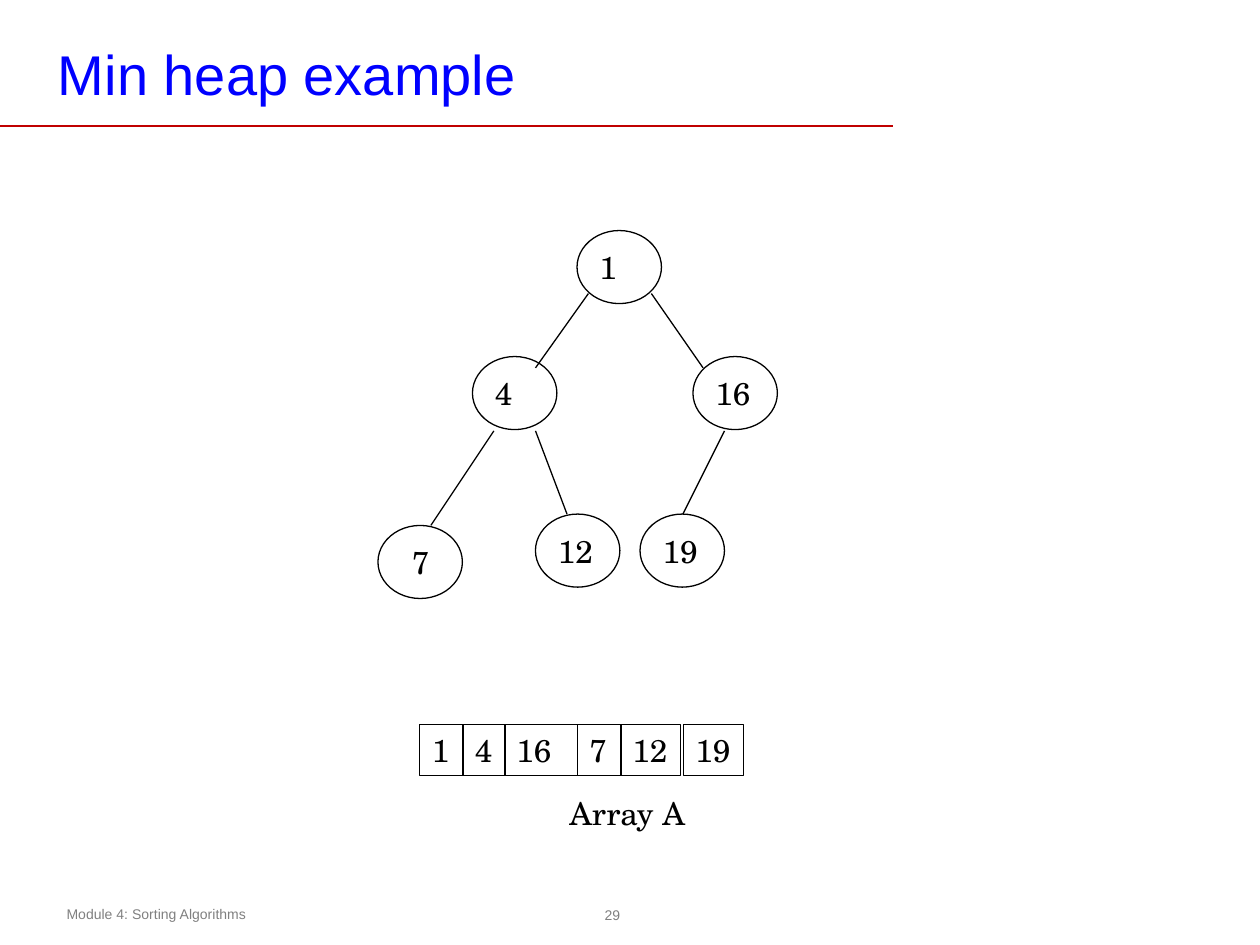
from typing import NamedTuple

from lxml import etree
from pptx import Presentation
from pptx.dml.color import RGBColor
from pptx.enum.shapes import MSO_CONNECTOR, MSO_SHAPE
from pptx.enum.text import MSO_ANCHOR, MSO_AUTO_SIZE, PP_ALIGN
from pptx.oxml.ns import qn
from pptx.util import Inches, Pt

ELLIPSE, RECT = MSO_SHAPE.OVAL, MSO_SHAPE.RECTANGLE
STRAIGHT = MSO_CONNECTOR.STRAIGHT
TOP, MIDDLE = MSO_ANCHOR.TOP, MSO_ANCHOR.MIDDLE
LEFT, CENTER = PP_ALIGN.LEFT, PP_ALIGN.CENTER
GROW, FIXED = MSO_AUTO_SIZE.SHAPE_TO_FIT_TEXT, MSO_AUTO_SIZE.NONE

SANS, SERIF = "Arial", "TeX Gyre Schola"
BLACK, GRAY, BLUE, RED = "000000", "808080", "0000FF", "C00000"
NODE_W, NODE_H, TEXT_H = 0.67, 0.58, 0.4
ARRAY_TOP = 5.75


class Node(NamedTuple):
    key: str
    x: float
    y: float
    label_dx: float = 0.08


class Edge(NamedTuple):
    x1: float
    y1: float
    x2: float
    y2: float


class Cell(NamedTuple):
    key: str
    x: float
    w: float
    wrap: bool = False


NODES = [
    Node("1", 4.58, 1.83),
    Node("4", 3.75, 2.83),
    Node("16", 5.5, 2.83),
    Node("12", 4.25, 4.08),
    Node("7", 3, 4.17, 0.17),
    Node("19", 5.08, 4.08),
]
EDGES = [
    Edge(4.67, 2.33, 4.25, 2.92),
    Edge(3.92, 3.42, 3.42, 4.17),
    Edge(4.25, 3.42, 4.5, 4.08),
    Edge(5.17, 2.33, 5.58, 2.92),
    Edge(5.75, 3.42, 5.42, 4.08),
]
CELLS = [
    Cell("1", 3.33, 0.35),
    Cell("4", 3.67, 0.34),
    Cell("16", 4, 0.58, True),
    Cell("7", 4.58, 0.35),
    Cell("12", 4.92, 0.48),
    Cell("19", 5.42, 0.48),
]


def rgb(color: str) -> RGBColor:
    return RGBColor.from_string(color)


def write(sp, text: str, size: float = 18, font: str = SERIF, color: str = BLACK,
          align=LEFT, anchor=TOP, wrap: bool = False, fit=GROW) -> None:
    tf = sp.text_frame
    tf.text = text
    tf.word_wrap = wrap
    tf.auto_size = fit
    tf.vertical_anchor = anchor
    p = tf.paragraphs[0]
    p.alignment = align
    r = p.runs[0]
    r.font.size = Pt(size)
    r.font.name = font
    r.font.color.rgb = rgb(color)


def set_insets(sp, x: float, y: float) -> None:
    tf = sp.text_frame
    tf.margin_left = tf.margin_right = Inches(x)
    tf.margin_top = tf.margin_bottom = Inches(y)


def add_outline(s, kind, x: float, y: float, w: float, h: float, line: float = 0):
    """Add an unfilled shape; a line width of 0 means no outline."""
    sp = s.shapes.add_shape(kind, Inches(x), Inches(y), Inches(w), Inches(h))
    sp.shadow.inherit = False
    sp.fill.background()
    if line:
        sp.line.color.rgb = rgb(BLACK)
        sp.line.width = Pt(line)
    else:
        sp.line.fill.background()
    return sp


def add_text(s, text: str, x: float, y: float, w: float, h: float, **style) -> None:
    sp = s.shapes.add_textbox(Inches(x), Inches(y), Inches(w), Inches(h))
    write(sp, text, **style)


def add_line(s, edge: Edge, color: str = BLACK, width: float = 0.75) -> None:
    cx = s.shapes.add_connector(STRAIGHT, *(Inches(v) for v in edge))
    cx.line.color.rgb = rgb(color)
    cx.line.width = Pt(width)
    etree.SubElement(cx._element.spPr, qn("a:effectLst"))


def add_frame(s) -> None:
    """Add the page number, footer, rule and title."""
    number = add_outline(s, ELLIPSE, 4.74, 7.13, 0.24, 0.26)
    set_insets(number, 0.04, 0.04)
    write(number, "29", 8, SANS, GRAY, CENTER, MIDDLE, fit=FIXED)
    add_text(s, "Module 4: Sorting Algorithms", 0.43, 7.14, 3.64, 0.24,
             size=8, font=SANS, color=GRAY, wrap=True)
    add_line(s, Edge(0, 1, 7.09, 1), RED, 1)

    title = s.shapes.title
    title.left, title.top = Inches(0.39), Inches(0.28)
    title.width, title.height = Inches(7.42), Inches(0.6)
    set_insets(title, 0.07, 0.03)
    write(title, "Min heap example", 32, SANS, BLUE, wrap=True)


def add_array(s) -> None:
    for cell in CELLS:
        sp = add_outline(s, RECT, cell.x, ARRAY_TOP, cell.w, TEXT_H, 0.25)
        write(sp, cell.key, wrap=cell.wrap)
    add_text(s, "Array A", 4.42, 6.25, 1.42, 0.42, wrap=True)


def add_heap(s) -> None:
    for node in NODES:
        add_outline(s, ELLIPSE, node.x, node.y, NODE_W, NODE_H, 0.75)
        label_w = 0.34 if len(node.key) == 1 else 0.48
        add_text(s, node.key, node.x + node.label_dx, node.y + 0.09, label_w, TEXT_H)
    for edge in EDGES:
        add_line(s, edge)


def main() -> None:
    prs = Presentation()
    prs.slide_width, prs.slide_height = Inches(10), Inches(7.5)
    s = prs.slides.add_slide(prs.slide_layouts[5])
    add_frame(s)
    add_array(s)
    add_heap(s)
    prs.save("out.pptx")


if __name__ == "__main__":
    main()
